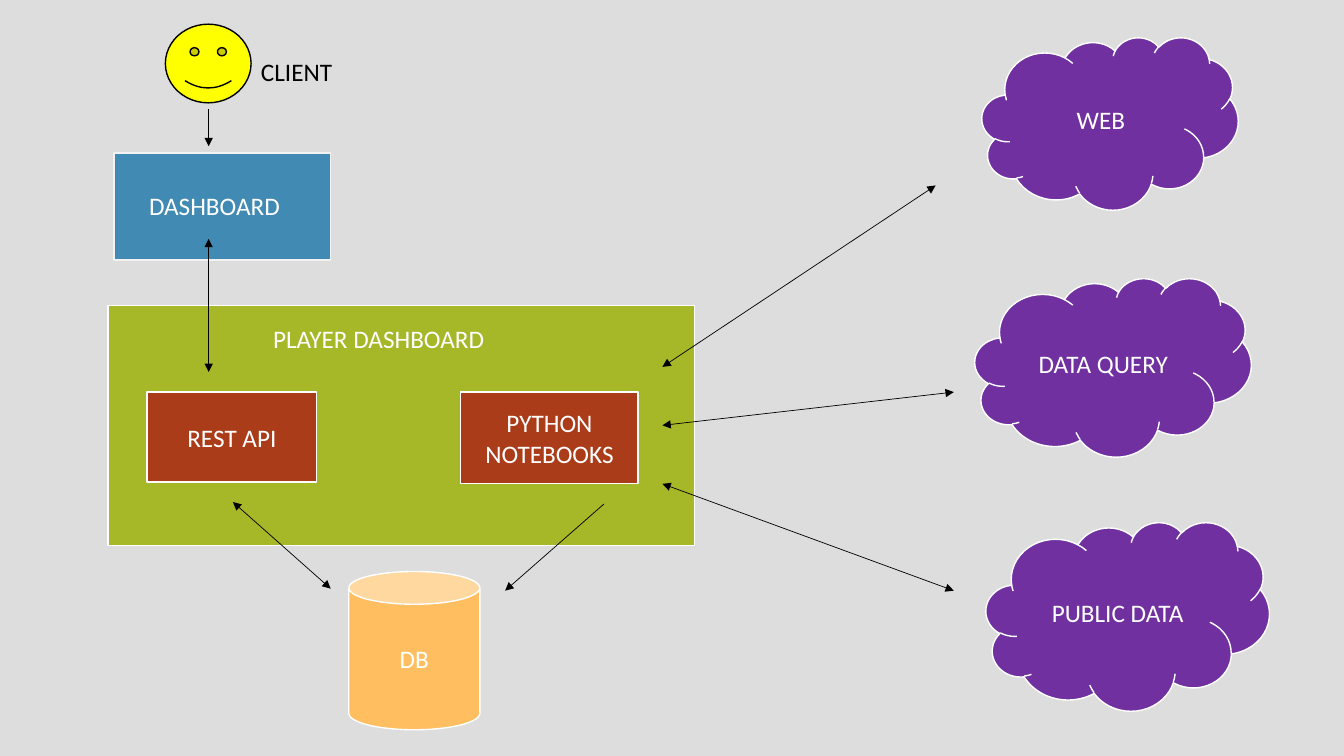
from dataclasses import dataclass

from lxml.etree import SubElement
from pptx import Presentation
from pptx.dml.color import RGBColor
from pptx.enum.shapes import MSO_CONNECTOR, MSO_SHAPE
from pptx.enum.text import MSO_ANCHOR, MSO_AUTO_SIZE, PP_ALIGN
from pptx.oxml.ns import qn
from pptx.util import Inches, Pt

BLACK, WHITE = "000000", "FFFFFF"
OLIVE, RUST, BLUE = "A6B727", "AB3C19", "418AB3"
PURPLE, YELLOW, ORANGE = "7030A0", "FFFF00", "FFBF61"


@dataclass
class Node:
    """A filled shape with an optional centred caption."""
    kind: MSO_SHAPE
    x: float
    y: float
    w: float
    h: float
    fill: str
    text: str = ""
    line: str = WHITE


@dataclass
class Label:
    """Free-standing text."""
    text: str
    x: float
    y: float
    w: float
    color: str = WHITE
    wrap: bool = True


@dataclass
class Arrow:
    """A straight arrow, pointing both ways unless told otherwise."""
    x1: float
    y1: float
    x2: float
    y2: float
    both: bool = True
    width: float = 0.5


NODES = [
    Node(MSO_SHAPE.RECTANGLE, 1.07, 3.03, 5.82, 2.38, OLIVE),
    Node(MSO_SHAPE.RECTANGLE, 1.46, 3.89, 1.68, 0.89, RUST, "REST API"),
    Node(MSO_SHAPE.RECTANGLE, 4.57, 3.89, 1.76, 0.91, RUST, "PYTHON NOTEBOOKS"),
    Node(MSO_SHAPE.RECTANGLE, 1.13, 1.52, 2.15, 1.06, BLUE, line="F2F2F2"),
    Node(MSO_SHAPE.CLOUD, 9.74, 0.37, 2.54, 1.71, PURPLE, "WEB"),
    Node(MSO_SHAPE.CLOUD, 9.67, 2.76, 2.74, 1.77, PURPLE, "DATA QUERY"),
    Node(MSO_SHAPE.CLOUD, 9.78, 5.18, 2.81, 1.87, PURPLE, "PUBLIC DATA"),
    Node(MSO_SHAPE.SMILEY_FACE, 1.64, 0.24, 0.85, 0.78, YELLOW, line=BLACK),
    Node(MSO_SHAPE.CAN, 3.46, 5.67, 1.3, 1.57, ORANGE, "DB"),
]
LABELS = [
    Label("DASHBOARD", 1.38, 1.84, 2),
    Label("PLAYER DASHBOARD", 2.61, 3.16, 3.72),
    Label("CLIENT", 2.49, 0.51, 1.04, BLACK, wrap=False),
]
ARROWS = [
    Arrow(2.07, 2.37, 2.07, 3.69, width=1),
    Arrow(2.31, 4.98, 3.28, 5.84),
    Arrow(5.99, 5, 5.01, 5.86, both=False),
    Arrow(6.57, 3.64, 9.28, 1.84),
    Arrow(6.57, 4.22, 9.46, 3.89),
    Arrow(6.57, 4.8, 9.46, 5.86),
    Arrow(2.07, 1.08, 2.07, 1.45, both=False),
]


def rgb(color: str) -> RGBColor:
    """Turn a hex string into a colour."""
    return RGBColor.from_string(color)


def write(tf, text: str, *, color: str = WHITE, size: float = 18,
          font: str = "Calibri", align=PP_ALIGN.LEFT,
          anchor=MSO_ANCHOR.TOP, wrap: bool = True) -> None:
    """Put one formatted run into a text frame."""
    tf.word_wrap = wrap
    tf.vertical_anchor = anchor
    p = tf.paragraphs[0]
    p.alignment = align
    r = p.add_run()
    r.text = text
    r.font.name = font
    r.font.size = Pt(size)
    r.font.color.rgb = rgb(color)


def draw_node(s, node: Node) -> None:
    """Draw a filled shape and its caption."""
    sp = s.shapes.add_shape(node.kind, Inches(node.x), Inches(node.y),
                            Inches(node.w), Inches(node.h))
    sp.shadow.inherit = False
    sp.fill.solid()
    sp.fill.fore_color.rgb = rgb(node.fill)
    sp.line.color.rgb = rgb(node.line)
    sp.line.width = Pt(1)
    if node.text:
        write(sp.text_frame, node.text, align=PP_ALIGN.CENTER,
              anchor=MSO_ANCHOR.MIDDLE)


def draw_label(s, label: Label) -> None:
    """Draw a text box."""
    sp = s.shapes.add_textbox(Inches(label.x), Inches(label.y),
                              Inches(label.w), Inches(0.4))
    write(sp.text_frame, label.text, color=label.color, wrap=label.wrap)
    sp.text_frame.auto_size = MSO_AUTO_SIZE.SHAPE_TO_FIT_TEXT


def draw_arrow(s, arrow: Arrow) -> None:
    """Draw a connector with triangular heads."""
    cx = s.shapes.add_connector(MSO_CONNECTOR.STRAIGHT,
                                Inches(arrow.x1), Inches(arrow.y1),
                                Inches(arrow.x2), Inches(arrow.y2))
    cx.line.color.rgb = rgb(BLACK)
    cx.line.width = Pt(arrow.width)
    ends = ["a:headEnd", "a:tailEnd"] if arrow.both else ["a:tailEnd"]
    for end in ends:
        SubElement(cx.line._get_or_add_ln(), qn(end), type="triangle")
    SubElement(cx._element.spPr, qn("a:effectLst"))


def main() -> None:
    """Build the slide and save it."""
    prs = Presentation()
    prs.slide_width, prs.slide_height = Inches(13.33), Inches(7.5)
    s = prs.slides.add_slide(prs.slide_layouts[6])
    s.background.fill.solid()
    s.background.fill.fore_color.rgb = rgb("DDDDDD")
    for node in NODES:
        draw_node(s, node)
    for arrow in ARROWS:
        draw_arrow(s, arrow)
    for label in LABELS:
        draw_label(s, label)
    prs.save("out.pptx")


main()
